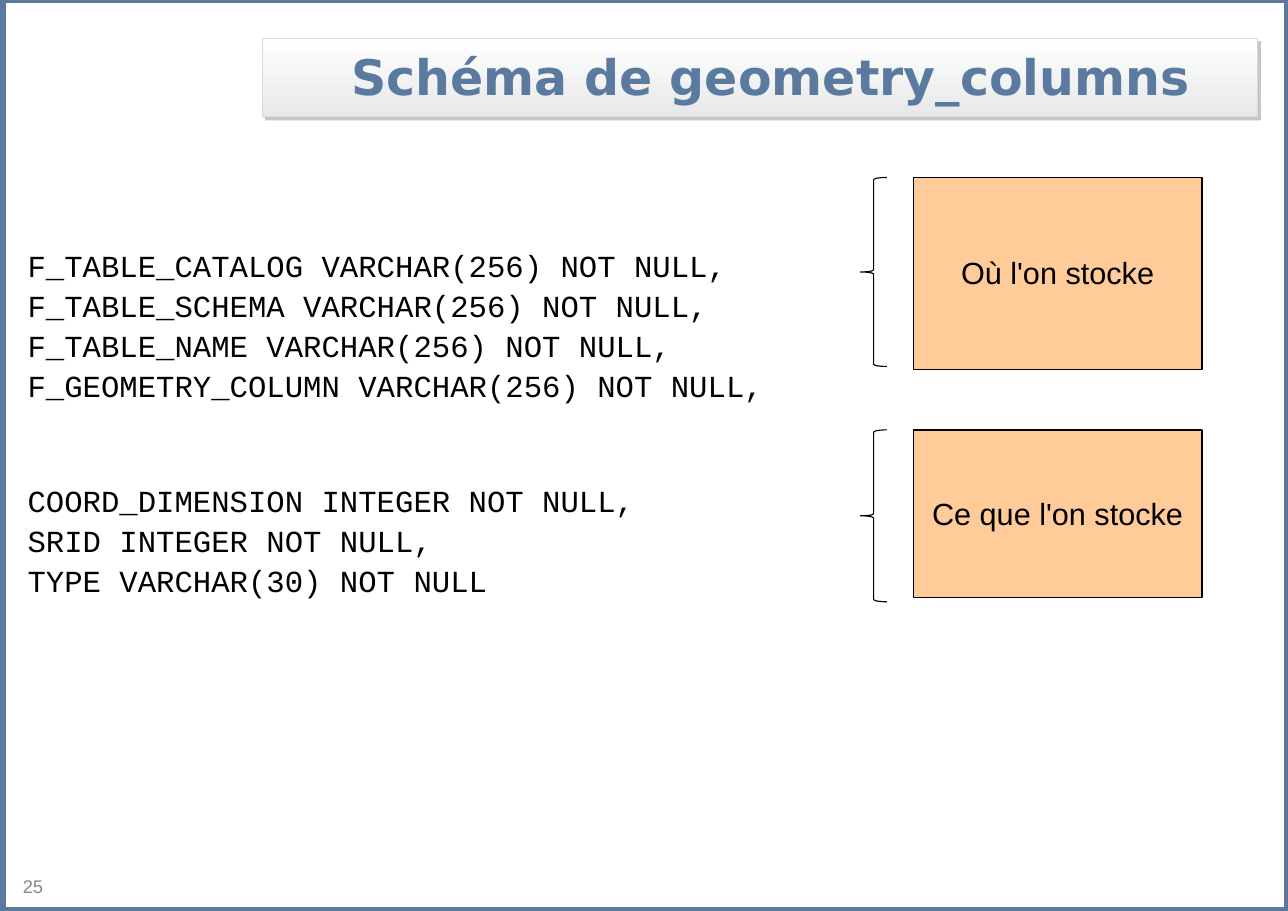
from lxml.etree import SubElement
from pptx import Presentation
from pptx.dml.color import RGBColor
from pptx.enum.shapes import MSO_SHAPE
from pptx.enum.text import MSO_ANCHOR, PP_ALIGN
from pptx.oxml import parse_xml
from pptx.oxml.ns import qn
from pptx.util import Pt

COLORS = {
    "frame": "5B799E", "title": "5B7A9F", "title_top": "FFFFFF", "title_bottom": "E7E8E9",
    "title_edge": "D9D9D9", "shadow": "7F7F7F", "label": "FFCC99", "ink": "000000", "number": "898989",
}
WHERE_COLUMNS = [
    "F_TABLE_CATALOG VARCHAR(256) NOT NULL,",
    "F_TABLE_SCHEMA VARCHAR(256) NOT NULL,",
    "F_TABLE_NAME VARCHAR(256) NOT NULL,",
    "F_GEOMETRY_COLUMN VARCHAR(256) NOT NULL,",
]
WHAT_COLUMNS = [
    "COORD_DIMENSION INTEGER NOT NULL,",
    "SRID INTEGER NOT NULL,",
    "TYPE VARCHAR(30) NOT NULL",
]


class SchemaSlide:
    """Draws the parts of the schema slide in one shared style."""

    def __init__(self, slide):
        self.slide = slide

    def color(self, name):
        return RGBColor.from_string(COLORS[name])

    def outline(self, kind, box, edge, width=0.75):
        shape = self.slide.shapes.add_shape(kind, *map(Pt, box))
        shape.shadow.inherit = False
        shape.fill.background()
        shape.line.color.rgb = self.color(edge)
        shape.line.width = Pt(width)
        return shape

    def set_text(self, shape, lines, font, size, color, align, anchor, insets, spacing=0.93, bold=False):
        frame = shape.text_frame
        frame.text = "\n".join(lines)
        frame.word_wrap = True
        frame.vertical_anchor = anchor
        frame.margin_left, frame.margin_top, frame.margin_right, frame.margin_bottom = map(Pt, insets)
        for paragraph in frame.paragraphs:
            paragraph.alignment = align
            paragraph.line_spacing = spacing
            for run in paragraph.runs:
                run.font.name = font
                run.font.size = Pt(size)
                run.font.bold = bold
                run.font.color.rgb = self.color(color)
        return frame.paragraphs

    def title(self, text, box):
        banner = self.outline(MSO_SHAPE.RECTANGLE, box, "title_edge")
        banner.fill.gradient()
        banner.fill.gradient_angle = 270
        for stop, name in zip(banner.fill.gradient_stops, ("title_top", "title_bottom")):
            stop.color.rgb = self.color(name)
        effects = banner.element.spPr.find(qn("a:effectLst"))
        shadow = parse_xml(
            '<a:outerShdw xmlns:a="http://schemas.openxmlformats.org/drawingml/2006/main" '
            'blurRad="0" dist="38100" dir="2700000" algn="tl" rotWithShape="0"/>')
        effects.append(shadow)
        tint = SubElement(shadow, qn("a:srgbClr"), val=COLORS["shadow"])
        SubElement(tint, qn("a:alpha"), val="43000")
        heading = self.set_text(banner, [text], "DejaVu Sans", 32, "title", PP_ALIGN.CENTER,
                                MSO_ANCHOR.MIDDLE, (0, 2, 0, 0), bold=True)[0]
        properties = heading._p.get_or_add_pPr()
        properties.set("marL", str(Pt(28.8)))
        properties.set("indent", str(Pt(-14.4)))

    def columns(self, groups, box, line_gap, group_gap):
        listing = self.slide.shapes.add_textbox(*map(Pt, box))
        lines = [line for group in groups for line in group]
        starts = {group[0] for group in groups}
        paragraphs = self.set_text(listing, lines, "Courier New", 20, "ink", PP_ALIGN.LEFT,
                                   MSO_ANCHOR.TOP, (0, 0, 0, 0), spacing=0.83)
        for paragraph in paragraphs[1:]:
            paragraph.space_before = Pt(group_gap if paragraph.text in starts else line_gap)

    def label(self, text, box):
        panel = self.outline(MSO_SHAPE.ROUNDED_RECTANGLE, box, "ink")
        panel.adjustments[0] = 0
        panel.fill.solid()
        panel.fill.fore_color.rgb = self.color("label")
        self.set_text(panel, [text], "Arial", 20, "ink", PP_ALIGN.CENTER, MSO_ANCHOR.MIDDLE, (7, 5, 7, 3.6))

    def brace(self, box):
        brace = self.outline(MSO_SHAPE.LEFT_BRACE, box, "ink")
        brace.adjustments[0] = 0.08

    def number(self, text, box):
        page = self.slide.shapes.add_textbox(*map(Pt, box))
        self.set_text(page, [text], "Arial", 12, "number", PP_ALIGN.RIGHT, MSO_ANCHOR.MIDDLE, (7.2, 3.6, 7.2, 3.6))


def main():
    deck = Presentation()
    deck.slide_width, deck.slide_height = Pt(841.7), Pt(595.4)
    schema = SchemaSlide(deck.slides.add_slide(deck.slide_layouts[6]))
    schema.outline(MSO_SHAPE.RECTANGLE, (1.5, 0, 840.2, 595.4), "frame", 4.5)
    schema.title("Schéma de geometry_columns", (171.4, 25.2, 650.2, 51.1))
    schema.columns([WHERE_COLUMNS, WHAT_COLUMNS], (18, 165.6, 540, 225), 6.2, 55.4)
    for text, top, label_height, brace_height in (
        ("Où l'on stocke", 116, 125.3, 123.5),
        ("Ce que l'on stocke", 281, 109.5, 112.3),
    ):
        schema.label(text, (596.9, top, 188.6, label_height))
        schema.brace((562.3, top, 17.3, brace_height))
    schema.number("25", (0, 563.8, 35.3, 31.6))
    deck.save("out.pptx")


if __name__ == "__main__":
    main()
